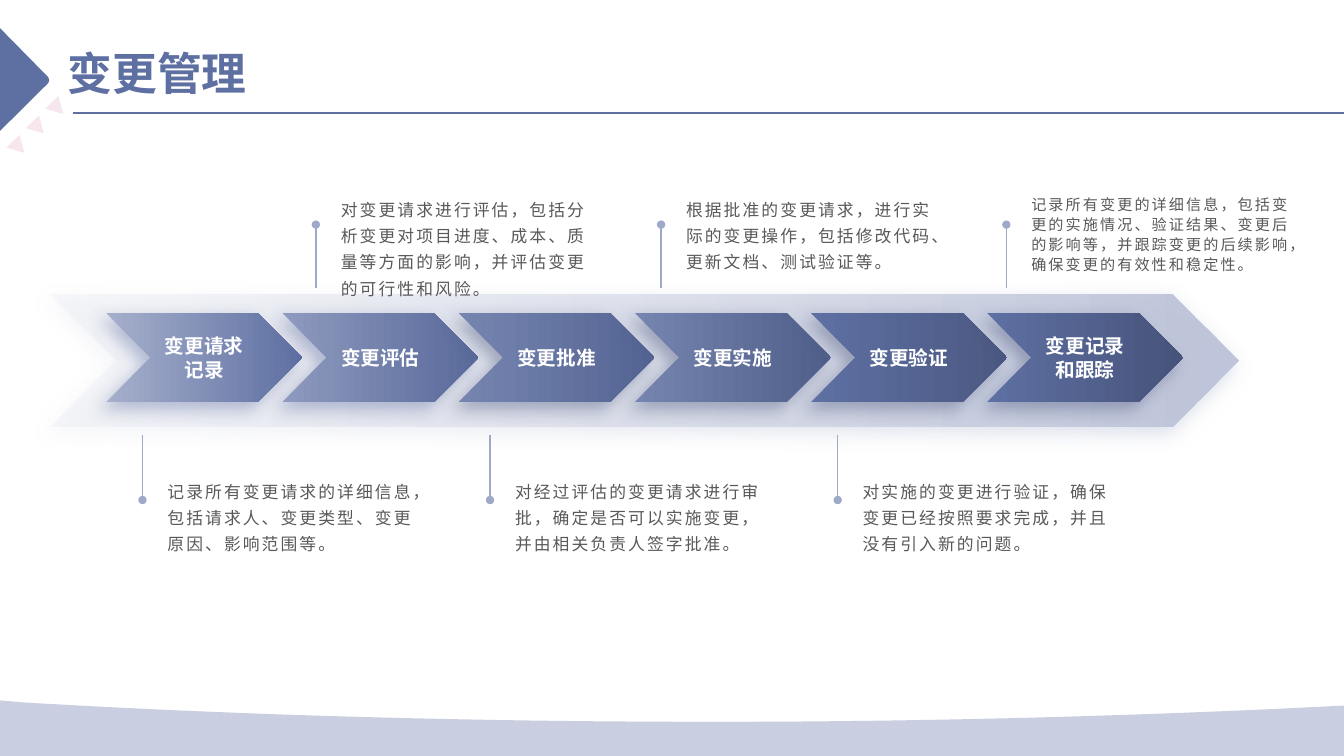
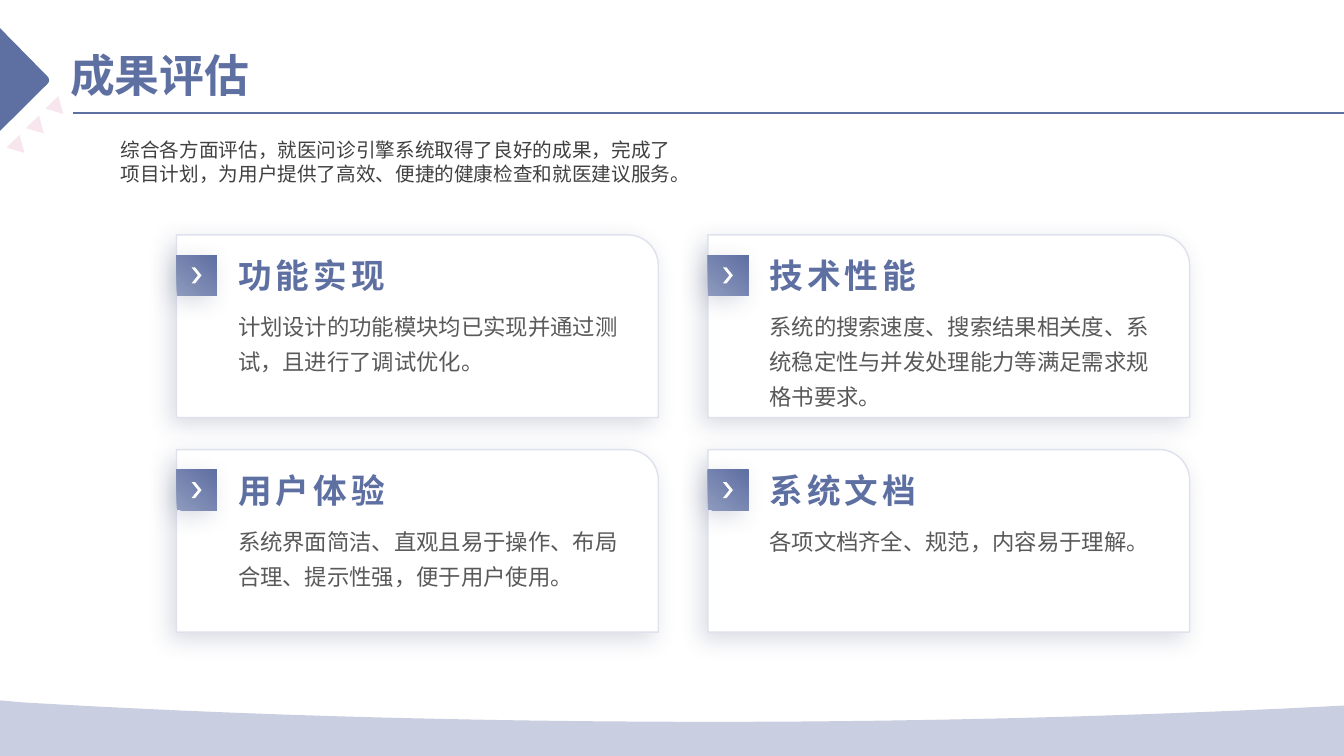
from lxml.etree import SubElement
from pptx import Presentation
from pptx.dml.color import RGBColor
from pptx.enum.shapes import MSO_CONNECTOR, MSO_SHAPE
from pptx.enum.text import MSO_ANCHOR, PP_ALIGN
from pptx.oxml.ns import qn
from pptx.util import Cm, Pt

FONT = "Noto Sans CJK SC"
BLUE, NAVY, STEEL, PALE = "5E6FA2", "46537A", "9EA9C7", "DFE2EC"
WHITE, PINK, GREY, DARK = "FFFFFF", "F8E6EE", "595959", "404040"
WIDTH, HEIGHT = 33.87, 19.05
CARD_SHADOW = (NAVY, 20, 16, 6)

STEPS = [
    ("变更请求记录", "A6B0CC", BLUE, BLUE),
    ("变更评估", "8E9ABE", "59699A", BLUE),
    ("变更批准", "7685B0", "546492", NAVY),
    ("变更实施", "7685B0", "505E8A", NAVY),
    ("变更验证", BLUE, "4B5982", NAVY),
    ("变更记录和跟踪", BLUE, NAVY, NAVY),
]
UPPER_NOTES = [
    ("对变更请求进行评估，包括分析变更对项目进度、成本、质量等方面的影响，并评估变更的可行性和风险。", 12, 1.3),
    ("根据批准的变更请求，进行实际的变更操作，包括修改代码、更新文档、测试验证等。", 12, 1.3),
    ("记录所有变更的详细信息，包括变更的实施情况、验证结果、变更后的影响等，并跟踪变更的后续影响，确保变更的有效性和稳定性。", 10.8, 1.1),
]
LOWER_NOTES = [
    ("记录所有变更请求的详细信息，包括请求人、变更类型、变更原因、影响范围等。", 12, 1.3),
    ("对经过评估的变更请求进行审批，确定是否可以实施变更，并由相关负责人签字批准。", 12, 1.3),
    ("对实施的变更进行验证，确保变更已经按照要求完成，并且没有引入新的问题。", 12, 1.3),
]
NOTE_ROWS = [
    {"notes": UPPER_NOTES, "left": 8.59, "pitch": 8.7, "top": 4.88, "line": (7.26, 5.66)},
    {"notes": LOWER_NOTES, "left": 4.22, "pitch": 8.76, "top": 11.99, "line": (10.95, 12.6)},
]
INTRO = "综合各方面评估，就医问诊引擎系统取得了良好的成果，完成了项目计划，为用户提供了高效、便捷的健康检查和就医建议服务。"
CARDS = [
    ("功能实现", "计划设计的功能模块均已实现并通过测试，且进行了调试优化。"),
    ("技术性能", "系统的搜索速度、搜索结果相关度、系统稳定性与并发处理能力等满足需求规格书要求。"),
    ("用户体验", "系统界面简洁、直观且易于操作、布局合理、提示性强，便于用户使用。"),
    ("系统文档", "各项文档齐全、规范，内容易于理解。"),
]


def rgb(color):
    return RGBColor.from_string(color)


def set_alpha(color_element, percent):
    SubElement(color_element, qn("a:alpha"), val=str(percent * 1000))


def style_shape(shape, fill, line=None, shadow=None, angle=0, alpha=None):
    """Fill with a colour or a pair of gradient colours; alpha applies to the first."""
    if isinstance(fill, tuple):
        shape.fill.gradient()
        shape.fill.gradient_angle = angle
        for stop, color in zip(shape.fill.gradient_stops, fill):
            stop.color.rgb = rgb(color)
    else:
        shape.fill.solid()
        shape.fill.fore_color.rgb = rgb(fill)
    properties = shape._element.spPr
    if alpha is not None:
        set_alpha(properties.find(".//" + qn("a:srgbClr")), alpha)
    if line:
        shape.line.color.rgb = rgb(line)
        shape.line.width = Pt(1)
    else:
        shape.line.fill.background()
    shape.shadow.inherit = False
    if shadow:
        color, opacity, blur, distance = shadow
        outer = SubElement(properties.find(qn("a:effectLst")), qn("a:outerShdw"),
                           blurRad=str(Pt(blur)), dist=str(Pt(distance)),
                           dir=str(135 * 60000), algn="ctr", rotWithShape="0")
        set_alpha(SubElement(outer, qn("a:srgbClr"), val=color), opacity)


def add_shape(slide, kind, box, fill, **style):
    shape = slide.shapes.add_shape(kind, *map(Cm, box))
    style_shape(shape, fill, **style)
    return shape


def add_line(slide, start, end, color, width, dot=False):
    line = slide.shapes.add_connector(MSO_CONNECTOR.STRAIGHT, *map(Cm, start + end))
    line.line.color.rgb = rgb(color)
    line.line.width = Pt(width)
    if dot:
        SubElement(line.line._get_or_add_ln(), qn("a:tailEnd"), type="oval")
    SubElement(line._element.spPr, qn("a:effectLst"))


def write(shape, text, size, color, bold=False, spacing=0, line_spacing=None):
    """Write one run and return its paragraph."""
    shape.text_frame.word_wrap = True
    paragraph = shape.text_frame.paragraphs[0]
    if line_spacing:
        paragraph.line_spacing = line_spacing
    run = paragraph.add_run()
    run.text = text
    run.font.name, run.font.size, run.font.bold = FONT, Pt(size), bold
    run.font.color.rgb = rgb(color)
    properties = run.font._element
    properties.set("lang", "zh-CN")
    properties.set("spc", str(int(spacing * 100)))
    SubElement(properties, qn("a:ea"), typeface=FONT)
    return paragraph


def add_text(slide, box, text, size, color, **style):
    shape = slide.shapes.add_textbox(*map(Cm, box))
    write(shape, text, size, color, **style)
    return shape


def curve(start, first, second, end, count=24):
    """Return points along a cubic curve, without its start."""
    points = []
    for index in range(1, count + 1):
        t = index / count
        weights = ((1 - t) ** 3, 3 * t * (1 - t) ** 2, 3 * t * t * (1 - t), t ** 3)
        points.append(tuple(sum(weight * point[axis] for weight, point in
                                zip(weights, (start, first, second, end)))
                            for axis in (0, 1)))
    return points


def add_outline(slide, points, fill, **style):
    points = [(Cm(x), Cm(y)) for x, y in points]
    builder = slide.shapes.build_freeform(*points[0])
    builder.add_line_segments(points[1:], close=True)
    style_shape(builder.convert_to_shape(), fill, **style)


def add_frame(presentation, title, left, top):
    """Add a slide with the shared corner, rule, wave and title."""
    slide = presentation.slides.add_slide(presentation.slide_layouts[6])
    for index in range(3):
        box = (0.24 + 0.49 * index, 3.5 - 0.49 * index, 0.46, 0.41)
        add_shape(slide, MSO_SHAPE.ISOSCELES_TRIANGLE, box, PINK).rotation = 135.5
    tip = (1.2, 1.93)
    add_outline(slide, [(0, 0.71), tip, *curve(tip, (1.25, 1.99), (1.25, 2.06), (1.2, 2.11)),
                        (0, 3.3)], BLUE)
    add_line(slide, (1.84, 2.85), (WIDTH, 2.85), BLUE, 1.5)
    crest, trough = (32.26, 17.86), (18.03, 18.19)
    add_outline(slide, [(0, 17.65), (0, HEIGHT), (WIDTH, HEIGHT), (WIDTH, 17.78), crest,
                        *curve(crest, (27.89, 18.06), (23.06, 18.19), trough),
                        *curve(trough, (11.71, 18.19), (5.77, 18.01), (0.58, 17.7))],
                BLUE, alpha=33)
    add_text(slide, (left, top, 15, 1.63), title, 32, BLUE, bold=True)
    return slide


def set_margins(shape, left, top, right, bottom):
    frame = shape.text_frame
    frame.margin_left, frame.margin_top = Cm(left), Cm(top)
    frame.margin_right, frame.margin_bottom = Cm(right), Cm(bottom)


def build_change_slide(presentation):
    slide = add_frame(presentation, "变更管理", 1.45, 1.04)
    add_shape(slide, MSO_SHAPE.CHEVRON, (1.25, 7.42, 29.97, 3.33), (PALE, "BFC5DA"),
              alpha=20, shadow=(STEEL, 40, 14, 5))
    for index, (label, start, end, shadow) in enumerate(STEPS):
        step = add_shape(slide, MSO_SHAPE.CHEVRON, (2.67 + 4.44 * index, 7.88, 4.95, 2.26),
                         (start, end), shadow=(shadow, 40, 12, 7))
        step.text_frame.vertical_anchor = MSO_ANCHOR.MIDDLE
        write(step, label, 14, WHITE, bold=True).alignment = PP_ALIGN.CENTER
    for row in NOTE_ROWS:
        for index, (text, size, line_spacing) in enumerate(row["notes"]):
            left = row["left"] + row["pitch"] * index
            note = add_text(slide, (left, row["top"], 6.63, 2.18), text, size, GREY,
                            spacing=1.5, line_spacing=line_spacing)
            set_margins(note, 0, 0, 0, 0)
            near, far = row["line"]
            add_line(slide, (left - 0.63, near), (left - 0.63, far), STEEL, 1, dot=True)


def build_result_slide(presentation):
    slide = add_frame(presentation, "成果评估", 1.52, 1.09)
    for index, (heading, body) in enumerate(CARDS):
        row, column = divmod(index, 2)
        left, top = 4.45 + 13.39 * column, 5.92 + 5.41 * row
        add_shape(slide, MSO_SHAPE.ROUND_1_RECTANGLE, (left, top, 12.14, 4.6), WHITE,
                  line=PALE, shadow=CARD_SHADOW)
        title = add_text(slide, (left + 1.3, top + 0.23, 9.27, 1.3), heading, 24, BLUE,
                         bold=True, spacing=3)
        title.text_frame.vertical_anchor = MSO_ANCHOR.BOTTOM
        set_margins(title, 0.25, 0.13, 0.25, 0)
        add_text(slide, (left + 1.3, top + 1.65, 10.41, 2.29), body, 16, GREY,
                 line_spacing=1.3)
        add_shape(slide, MSO_SHAPE.RECTANGLE, (left, top + 0.51, 1.02, 1.02),
                  ("8E9ABE", BLUE), angle=50, shadow=CARD_SHADOW)
        arrow = add_shape(slide, MSO_SHAPE.CHEVRON, (left + 0.38, top + 0.82, 0.25, 0.4), WHITE)
        arrow.adjustments[0] = 0.64
    add_text(slide, (2.79, 3.35, 14.68, 1.75), INTRO, 14, DARK)


def main():
    presentation = Presentation()
    presentation.slide_width, presentation.slide_height = Cm(WIDTH), Cm(HEIGHT)
    build_change_slide(presentation)
    build_result_slide(presentation)
    presentation.save("out.pptx")


if __name__ == "__main__":
    main()
